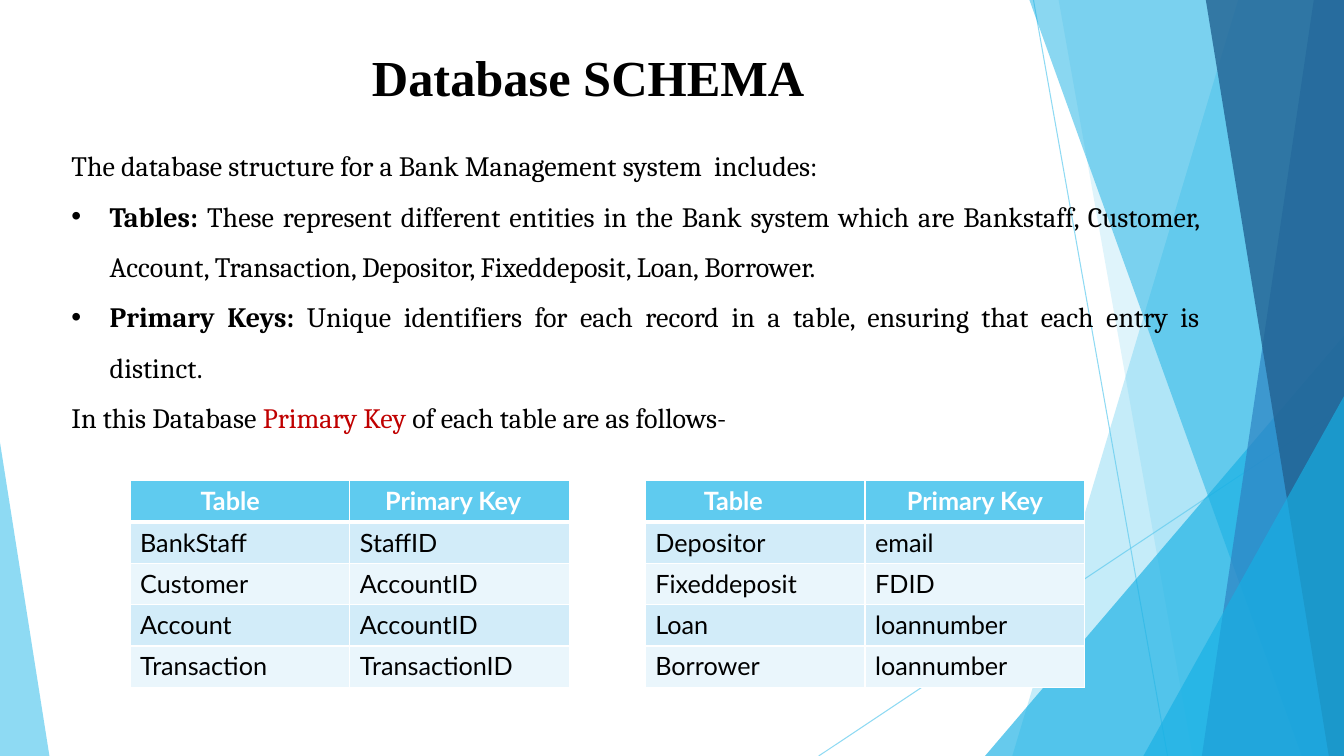
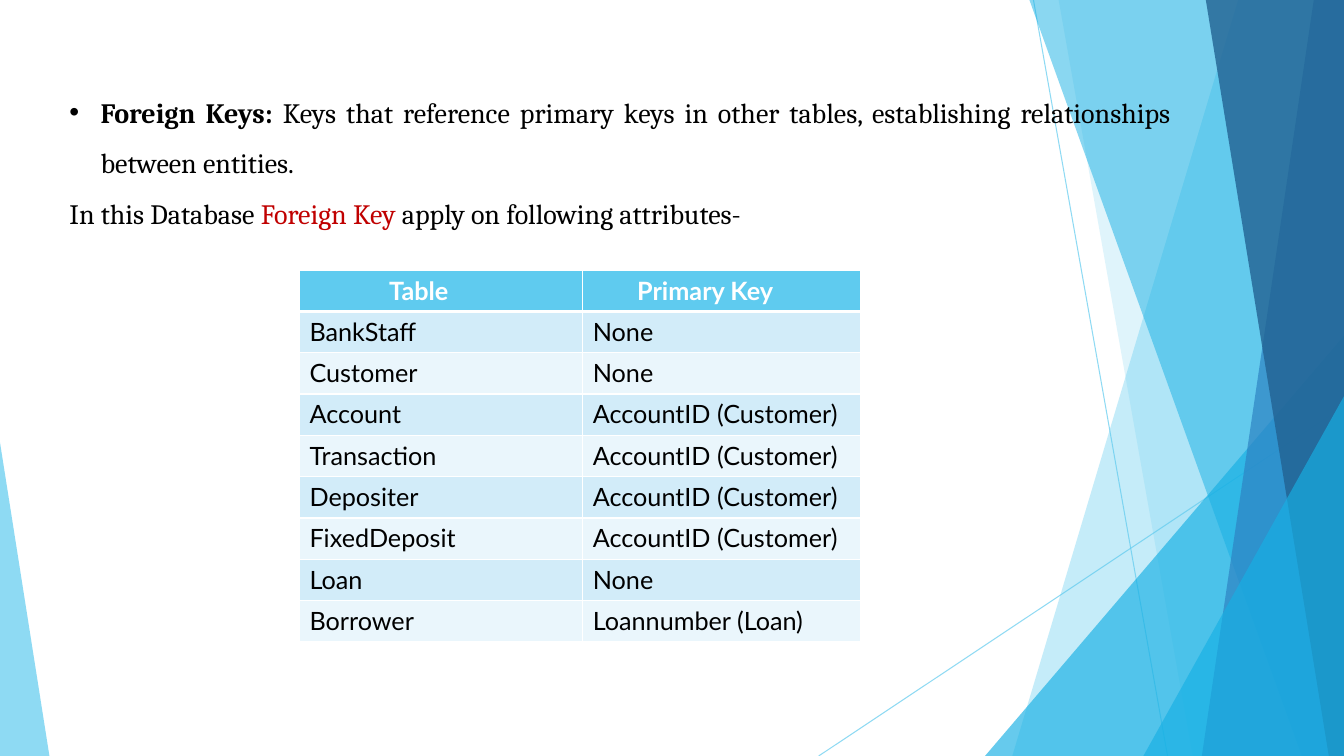
import lxml.etree
import pptx
import pptx.dml.color
import pptx.enum.shapes
import pptx.enum.text
import pptx.oxml.ns
import pptx.util

PX = 9144
WIDTH, HEIGHT = 1333, 750
ROW_HEIGHT = 41
SKY, CYAN, BLUE, NAVY = "5FCBEF", "17B0E4", "2E83C3", "226292"
BLACK, WHITE, RED = "000000", "FFFFFF", "C00000"
STRIPES = ["D2ECF9", "EAF6FC"]
BODY_FONT, TABLE_FONT, TITLE_FONT = "Cambria", "Lato", "Times New Roman"
ALIGN = pptx.enum.text.PP_ALIGN
SHAPE = pptx.enum.shapes.MSO_SHAPE

STAFF_KEYS = [
    ("BankStaff", "StaffID"),
    ("Customer", "AccountID"),
    ("Account", "AccountID"),
    ("Transaction", "TransactionID"),
]
DEPOSIT_KEYS = [
    ("Depositor", "email"),
    ("Fixeddeposit", "FDID"),
    ("Loan", "loannumber"),
    ("Borrower", "loannumber"),
]
FOREIGN_KEYS = [
    ("BankStaff", "None"),
    ("Customer", "None"),
    ("Account", "AccountID (Customer)"),
    ("Transaction", "AccountID (Customer)"),
    ("Depositer", "AccountID (Customer)"),
    ("FixedDeposit", "AccountID (Customer)"),
    ("Loan", "None"),
    ("Borrower", "Loannumber (Loan)"),
]


def px(*lengths):
    """Turn px lengths into a list of EMU."""
    return [pptx.util.Emu(n * PX) for n in lengths]


def rgb(color):
    """Turn a hex string into a colour."""
    return pptx.dml.color.RGBColor.from_string(color)


def sub(parent, tag, **attrs):
    """Append an XML child such as a:ln and return it."""
    return lxml.etree.SubElement(parent, pptx.oxml.ns.qn(tag), **attrs)


def set_opacity(shape, percent):
    """Make the one explicit colour of a shape translucent."""
    for clr in shape.element.iter(pptx.oxml.ns.qn("a:srgbClr")):
        sub(clr, "a:alpha", val=str(percent * 1000))


def paint(shape, color, opacity):
    """Give a shape a translucent fill without line or shadow."""
    shape.shadow.inherit = False
    shape.line.fill.background()
    shape.fill.solid()
    shape.fill.fore_color.rgb = rgb(color)
    set_opacity(shape, opacity)


def add_line(s, x1, y1, x2, y2):
    """Draw a thin translucent line."""
    line = s.shapes.add_connector(
        pptx.enum.shapes.MSO_CONNECTOR.STRAIGHT, *px(x1, y1, x2, y2))
    line.line.color.rgb = rgb(SKY)
    line.line.width = pptx.util.Pt(0.75)
    sub(line.element.spPr, "a:effectLst")
    set_opacity(line, 70)


def add_band(s, top_x, bottom_x, color, opacity):
    """Draw a full-height band from a slanted edge to the right border."""
    builder = s.shapes.build_freeform(top_x, 0, PX)
    builder.add_line_segments(
        [(WIDTH, 0), (WIDTH, HEIGHT), (bottom_x, HEIGHT)])
    paint(builder.convert_to_shape(), color, opacity)


def add_corner(s, left, top, width, apex, color, opacity):
    """Draw a triangle standing on the bottom border."""
    sp = s.shapes.add_shape(
        SHAPE.ISOSCELES_TRIANGLE, *px(left, top, width, HEIGHT - top))
    sp.adjustments[0] = apex
    paint(sp, color, opacity)


def add_backdrop(s):
    """Draw the facets that all slides share."""
    add_line(s, 1025, 0, 1158, HEIGHT)
    add_line(s, WIDTH, 403, 812, HEIGHT)
    add_band(s, 1228, 1004, SKY, 36)
    add_band(s, 1050, 1183, SKY, 20)
    add_corner(s, 977, 333, 356, 1, CYAN, 66)
    add_band(s, 1021, 1291, CYAN, 50)
    add_band(s, 1303, 1192, BLUE, 70)
    add_band(s, 1196, 1318, NAVY, 80)
    add_corner(s, 1134, 393, 199, 1, CYAN, 66)
    add_corner(s, 0, 439, 49, 0, SKY, 70)


def write(p, text, size=20, font=BODY_FONT, color=BLACK, bold=False):
    """Append a formatted run to a paragraph."""
    r = p.add_run()
    r.text = text
    r.font.size = pptx.util.Pt(size)
    r.font.name = font
    r.font.bold = bold
    r.font.color.rgb = rgb(color)


def set_indent(p, left, first=0):
    """Set the left margin and first-line indent of a paragraph."""
    pPr = p._p.get_or_add_pPr()
    pPr.set("marL", str(left * PX))
    pPr.set("indent", str(first * PX))
    return pPr


def add_text_box(s, left, top, width, height):
    """Add a wrapping text box and return its text frame."""
    tf = s.shapes.add_textbox(*px(left, top, width, height)).text_frame
    tf.word_wrap = True
    tf.auto_size = pptx.enum.text.MSO_AUTO_SIZE.SHAPE_TO_FIT_TEXT
    return tf


def add_paragraph(tf, *runs, hang=0):
    """Add a justified paragraph of (text, format) runs, bulleted if hanging."""
    p = tf.paragraphs[0] if not tf.paragraphs[0].runs else tf.add_paragraph()
    p.alignment = ALIGN.JUSTIFY
    p.line_spacing = 1.5
    if hang:
        pPr = set_indent(p, hang, -hang)
        sub(pPr, "a:buFont", typeface="Arial")
        sub(pPr, "a:buChar", char="•")
    for text, style in runs:
        write(p, text, **style)


def add_bullet(tf, term, text, hang):
    """Add a bulleted paragraph that opens with a bold term."""
    add_paragraph(tf, (term, {"bold": True}), (text, {}), hang=hang)


def add_lead_in(tf, key, text):
    """Add the line that introduces a table of keys."""
    add_paragraph(
        tf, ("In this Database ", {}), (key, {"color": RED}), (text, {}))


def set_borders(cell, top, bottom):
    """Give a cell white borders."""
    tcPr = cell._tc.get_or_add_tcPr()
    widths = {"a:lnL": 1, "a:lnR": 1, "a:lnT": top, "a:lnB": bottom}
    for tag, width in widths.items():
        ln = sub(tcPr, tag, w=str(pptx.util.Pt(width)))
        sub(sub(ln, "a:solidFill"), "a:srgbClr", val=WHITE)


def add_key_table(s, left, top, widths, indents, rows):
    """Add a striped table; an indent of None centres that heading."""
    rows = [("Table", "Primary Key"), *rows]
    table = s.shapes.add_table(
        len(rows), len(widths),
        *px(left, top, sum(widths), ROW_HEIGHT * len(rows))).table
    for column, width in zip(table.columns, px(*widths)):
        column.width = width
    for i, row in enumerate(rows):
        head = i == 0
        for j, text in enumerate(row):
            cell = table.cell(i, j)
            set_borders(cell, 3 if i == 1 else 1, 3 if head else 1)
            cell.fill.solid()
            cell.fill.fore_color.rgb = rgb(SKY if head else STRIPES[(i - 1) % 2])
            p = cell.text_frame.paragraphs[0]
            if head and indents[j] is None:
                p.alignment = ALIGN.CENTER
            elif head:
                set_indent(p, indents[j])
            write(p, text, size=18, font=TABLE_FONT,
                  color=WHITE if head else BLACK, bold=head)


def add_slide(prs):
    """Add a blank slide with the shared backdrop."""
    s = prs.slides.add_slide(prs.slide_layouts[6])
    add_backdrop(s)
    return s


def add_schema_slide(prs):
    """Build the slide on tables and primary keys."""
    s = add_slide(prs)
    tf = add_text_box(s, 61, 126, 1139, 307)
    add_paragraph(tf, (
        "The database structure for a Bank Management system  includes:", {}))
    add_bullet(
        tf, "Tables: ",
        "These represent different entities in the Bank system which are "
        "Bankstaff, Customer, Account, Transaction, Depositor, Fixeddeposit, "
        "Loan, Borrower.", 38)
    add_bullet(
        tf, "Primary Keys: ",
        "Unique identifiers for each record in a table, ensuring that each "
        "entry is distinct.", 38)
    add_lead_in(tf, "Primary Key ", "of each table are as follows-")
    add_key_table(s, 129, 477, [218, 218], [60, 25], STAFF_KEYS)
    title = add_text_box(s, 359, 41, 960, 71)
    write(title.paragraphs[0], "Database SCHEMA",
          size=36, font=TITLE_FONT, bold=True)
    add_key_table(s, 640, 477, [218, 218], [48, None], DEPOSIT_KEYS)


def add_foreign_key_slide(prs):
    """Build the slide on foreign keys."""
    s = add_slide(prs)
    tf = add_text_box(s, 59, 73, 1112, 206)
    add_bullet(
        tf, "Foreign Keys: ",
        "Keys that reference primary keys in other tables, establishing "
        "relationships between entities.", 31)
    add_lead_in(tf, "Foreign Key ", "apply on following attributes-")
    add_key_table(s, 297, 268, [281, 276], [79, 44], FOREIGN_KEYS)


def main():
    """Build and save the presentation."""
    prs = pptx.Presentation()
    prs.slide_width, prs.slide_height = px(WIDTH, HEIGHT)
    add_schema_slide(prs)
    add_foreign_key_slide(prs)
    prs.save("out.pptx")


if __name__ == "__main__":
    main()
